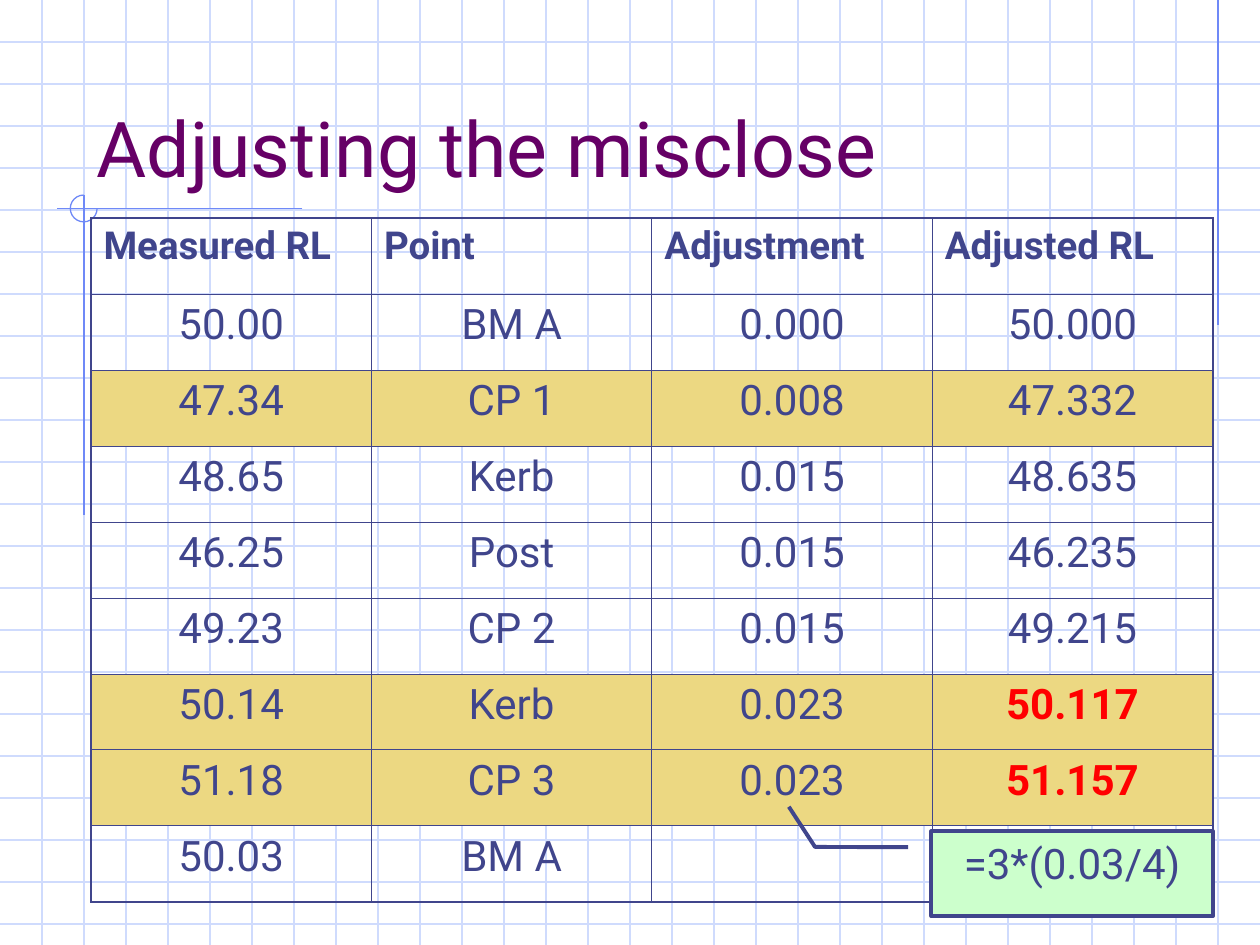
import pptx
import pptx.util
import pptx.dml.color
import pptx.enum.shapes
import pptx.enum.text
import pptx.oxml
import pptx.oxml.ns
import lxml.etree

Pt = pptx.util.Pt
SHAPE = pptx.enum.shapes.MSO_SHAPE
ALIGN = pptx.enum.text.PP_ALIGN
ANCHOR = pptx.enum.text.MSO_ANCHOR

WIDTH, HEIGHT, GRID = 720, 540, 24
COLORS = {
    "paper": "FFFFFF",
    "grid": "CFDBFD",
    "accent": "6F89F7",
    "title": "660066",
    "ink": "40458C",
    "band": "ECD882",
    "alert": "FF0000",
    "note": "CCFFCC",
}
HEADERS = ["Measured RL", "Point", "Adjustment", "Adjusted RL"]
LEVELS = [
    ["50.00", "BM A", "0.000", "50.000"],
    ["47.34", "CP 1", "0.008", "47.332"],
    ["48.65", "Kerb", "0.015", "48.635"],
    ["46.25", "Post", "0.015", "46.235"],
    ["49.23", "CP 2", "0.015", "49.215"],
    ["50.14", "Kerb", "0.023", "50.117"],
    ["51.18", "CP 3", "0.023", "51.157"],
    ["50.03", "BM A", "", ""],
]
BAND_ROWS = {2, 6, 7}
ALERT_CELLS = {(6, 3), (7, 3)}


class SlideBuilder:
    font = "Roboto"

    def __init__(self, s):
        self.s = s
        s.background.fill.solid()
        s.background.fill.fore_color.rgb = self.rgb("paper")

    def rgb(self, name):
        return pptx.dml.color.RGBColor.from_string(COLORS[name])

    def set_text(self, tf, text, size, color="ink", bold=False, align=ALIGN.CENTER):
        tf.text = text
        p = tf.paragraphs[0]
        p.alignment = align
        for r in p.runs:
            r.font.name = self.font
            r.font.size = Pt(size)
            r.font.bold = bold
            r.font.color.rgb = self.rgb(color)

    def title(self, text, x, y, w, h):
        sp = self.s.shapes.title
        sp.left, sp.top, sp.width, sp.height = Pt(x), Pt(y), Pt(w), Pt(h)
        tf = sp.text_frame
        tf.auto_size = pptx.enum.text.MSO_AUTO_SIZE.NONE
        tf.vertical_anchor = ANCHOR.BOTTOM
        self.set_text(tf, text, 44, "title", align=ALIGN.LEFT)
        self.s.shapes.element.append(sp.element)

    def line(self, x1, y1, x2, y2, color):
        c = self.s.shapes.add_connector(
            pptx.enum.shapes.MSO_CONNECTOR.STRAIGHT, Pt(x1), Pt(y1), Pt(x2), Pt(y2))
        c.line.color.rgb = self.rgb(color)
        c.line.width = Pt(0.75)
        lxml.etree.SubElement(c.element.spPr, pptx.oxml.ns.qn("a:effectLst"))

    def shape(self, kind, x, y, w, h, adjustments, line, width, fill=None):
        sp = self.s.shapes.add_shape(kind, Pt(x), Pt(y), Pt(w), Pt(h))
        sp.shadow.inherit = False
        for i, value in enumerate(adjustments):
            sp.adjustments[i] = value
        sp.line.color.rgb = self.rgb(line)
        sp.line.width = Pt(width)
        if fill:
            sp.fill.solid()
            sp.fill.fore_color.rgb = self.rgb(fill)
        else:
            sp.fill.background()
        return sp

    def callout(self, text, x, y, w, h, adjustments):
        sp = self.shape(SHAPE.LINE_CALLOUT_2, x, y, w, h, adjustments, "ink", 2.25, "note")
        tf = sp.text_frame
        tf.word_wrap = True
        tf.vertical_anchor = ANCHOR.TOP
        self.set_text(tf, text, 24)

    def border(self, cell, side, width):
        ln = lxml.etree.SubElement(
            cell._tc.get_or_add_tcPr(), pptx.oxml.ns.qn("a:ln" + side), w=str(Pt(width)))
        fill = lxml.etree.SubElement(ln, pptx.oxml.ns.qn("a:solidFill"))
        lxml.etree.SubElement(fill, pptx.oxml.ns.qn("a:srgbClr"), val=COLORS["ink"])

    def table(self, rows, x, y, w, h):
        n_rows, n_cols = len(rows), len(rows[0])
        t = self.s.shapes.add_table(n_rows, n_cols, Pt(x), Pt(y), Pt(w), Pt(h)).table
        t.first_row = t.horz_banding = False
        for i, row in enumerate(rows):
            for j, text in enumerate(row):
                cell = t.cell(i, j)
                outer = {"L": j == 0, "R": j == n_cols - 1,
                         "T": i == 0, "B": i == n_rows - 1}
                for side, is_outer in outer.items():
                    self.border(cell, side, 1.08 if is_outer else 0.45)
                if i in BAND_ROWS:
                    cell.fill.solid()
                    cell.fill.fore_color.rgb = self.rgb("band")
                else:
                    cell.fill.background()
                alert = (i, j) in ALERT_CELLS
                if i == 0:
                    self.set_text(cell.text_frame, text, 22, bold=True, align=ALIGN.LEFT)
                else:
                    self.set_text(cell.text_frame, text, 24, "alert" if alert else "ink", alert)


def main():
    prs = pptx.Presentation()
    prs.slide_width, prs.slide_height = Pt(WIDTH), Pt(HEIGHT)
    b = SlideBuilder(prs.slides.add_slide(prs.slide_layouts[5]))

    for y in range(GRID, HEIGHT, GRID):
        b.line(0, y, WIDTH, y, "grid")
    for x in range(GRID, WIDTH, GRID):
        b.line(x, 0, x, HEIGHT, "grid")

    b.line(696, 0, 696, 186, "accent")
    b.line(172.8, 119.3, 32.4, 119.3, "accent")
    b.line(48, 111.5, 48, 294.5, "accent")
    b.shape(SHAPE.ARC, 40.2, 111.5, 15.3, 15.3, [0, 162], "accent", 0.75)

    b.title("Adjusting the misclose", 48, 24, 612, 90)
    b.table([HEADERS] + LEVELS, 52, 124.5, 641, 391)
    b.callout("=3*(0.03/4)", 532.25, 475, 160.75, 48.5,
              [0.188, -0.083, 0.185, -0.414, -0.289, -0.507])

    prs.save("out.pptx")


if __name__ == "__main__":
    main()
